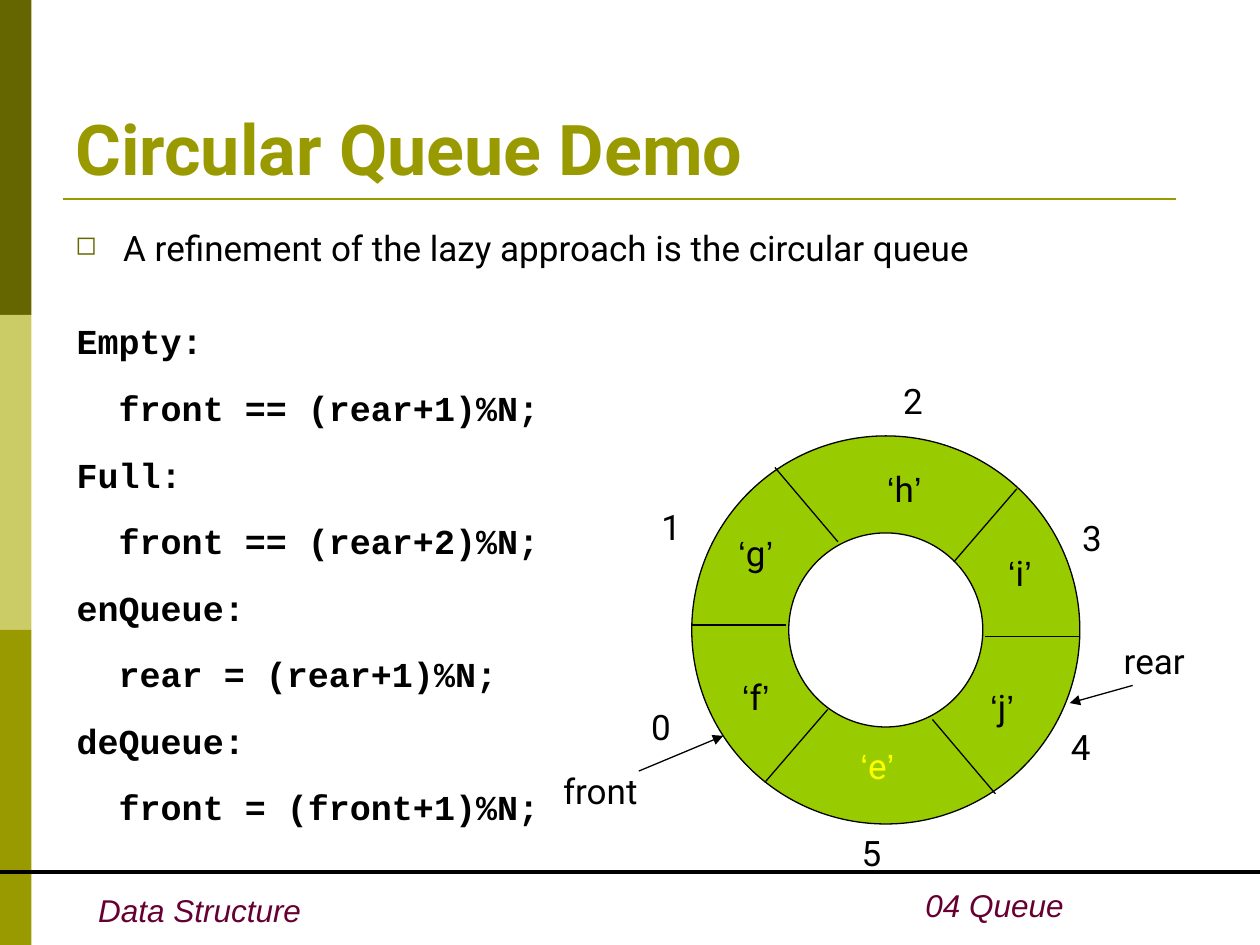
import pptx
import pptx.util
import pptx.dml.color
import pptx.enum.shapes
import pptx.enum.text
import pptx.oxml.ns
from dataclasses import dataclass
from lxml import etree

Inches = pptx.util.Inches
Pt = pptx.util.Pt
PRESET = pptx.enum.shapes.MSO_SHAPE
ALIGN = pptx.enum.text.PP_ALIGN
ANCHOR = pptx.enum.text.MSO_ANCHOR


@dataclass(frozen=True)
class Theme:
    black: str = "000000"
    olive: str = "999900"
    dark_olive: str = "666600"
    pale_olive: str = "CCCC66"
    ring: str = "99CC00"
    footer: str = "660033"
    highlight: str = "FFFF00"
    sans: str = "Roboto"
    plain: str = "Arial"
    mono: str = "Courier New"
    title_size: int = 40
    text_size: int = 20
    footer_size: int = 18
    code_gap: int = 14
    thin: float = 0.75


THEME = Theme()

CODE = [
    "Empty:",
    "  front == (rear+1)%N;",
    "Full:",
    "  front == (rear+2)%N;",
    "enQueue:",
    "  rear = (rear+1)%N;",
    "deQueue:",
    "  front = (front+1)%N;",
]
DIVIDERS = [
    (5.49, 4.96, 6.24, 4.96),
    (6.07, 6.21, 6.57, 5.63),
    (7.82, 5.05, 8.57, 5.05),
    (7.57, 4.46, 8.07, 3.88),
    (7.4, 5.71, 7.9, 6.3),
    (6.15, 3.71, 6.65, 4.3),
]
# Index of each slot: its number's place, its letter and the letter's place
SLOTS = [
    (5.07, 5.55, "f", 5.79, 5.31),
    (5.15, 3.96, "g", 5.76, 4.17),
    (7.07, 2.96, "h", 6.94, 3.66),
    (8.49, 4.05, "i", 7.9, 4.33),
    (8.4, 5.71, "j", 7.76, 5.39),
    (6.74, 6.55, "e", 6.73, 5.86),
]
POINTERS = [
    ("rear", (8.82, 5.03, 0.75, 0.44), (8.99, 5.44, 8.49, 5.58)),
    ("front", (4.37, 6.06, 1.08, 0.44), (5.07, 6.12, 5.74, 5.84)),
]


def rgb(color):
    return pptx.dml.color.RGBColor.from_string(color)


def apply_format(target, values):
    for name, value in values.items():
        setattr(target, name, value)


def add_run(paragraph, text, color=THEME.black, font=THEME.sans,
            size=THEME.text_size, bold=False, italic=False):
    run = paragraph.add_run()
    run.text = text
    apply_format(run.font, {"name": font, "size": Pt(size),
                            "bold": bold, "italic": italic})
    run.font.color.rgb = rgb(color)


def add_frame(slide, place, **frame_format):
    frame = slide.shapes.add_textbox(*map(Inches, place)).text_frame
    apply_format(frame, {"word_wrap": True, **frame_format})
    return frame


def add_label(slide, place, text, align=ALIGN.LEFT, frame_format=None, **run_format):
    paragraph = add_frame(slide, place, **(frame_format or {})).paragraphs[0]
    paragraph.alignment = align
    add_run(paragraph, text, **run_format)


def add_quoted(slide, place, letter, color):
    paragraph = add_frame(slide, place).paragraphs[0]
    for text, font in (("‘", THEME.plain), (letter, THEME.sans), ("’", THEME.plain)):
        add_run(paragraph, text, color, font)


def add_bullet(slide, place, text):
    paragraph = add_frame(slide, place).paragraphs[0]
    properties = paragraph._p.get_or_add_pPr()
    indent = Inches(0.38)
    properties.set("marL", str(indent))
    properties.set("indent", str(-indent))
    qn = pptx.oxml.ns.qn
    bullet_color = etree.SubElement(properties, qn("a:buClr"))
    etree.SubElement(bullet_color, qn("a:srgbClr"), val=THEME.dark_olive)
    etree.SubElement(properties, qn("a:buSzPct"), val="75000")
    etree.SubElement(properties, qn("a:buChar"), char="◻")
    add_run(paragraph, text)


def add_code(slide, place, lines):
    frame = add_frame(slide, place)
    for index, line in enumerate(lines):
        paragraph = frame.add_paragraph() if index else frame.paragraphs[0]
        if index:
            paragraph.space_before = Pt(THEME.code_gap)
        add_run(paragraph, line, font=THEME.mono, bold=True)


def add_block(slide, preset, place, fill, outline=None):
    block = slide.shapes.add_shape(preset, *map(Inches, place))
    block.shadow.inherit = False
    block.fill.solid()
    block.fill.fore_color.rgb = rgb(fill)
    if outline:
        block.line.color.rgb = rgb(outline)
        block.line.width = Pt(THEME.thin)
    else:
        block.line.fill.background()


def add_line(slide, ends, color=THEME.black, width=THEME.thin, arrow=False):
    line = slide.shapes.add_connector(
        pptx.enum.shapes.MSO_CONNECTOR.STRAIGHT, *map(Inches, ends))
    line.line.color.rgb = rgb(color)
    line.line.width = Pt(width)
    qn = pptx.oxml.ns.qn
    if arrow:
        etree.SubElement(line.line._get_or_add_ln(), qn("a:tailEnd"), type="triangle")
    etree.SubElement(line._element.spPr, qn("a:effectLst"))


def add_background(slide):
    # Side bands, rules and footer
    band = 2.5
    for index, color in enumerate((THEME.dark_olive, THEME.pale_olive, THEME.olive)):
        add_block(slide, PRESET.RECTANGLE, (0, index * band, 0.25, band), color)
    add_line(slide, (0.5, 1.58, 9.33, 1.58), THEME.olive, 1.5)
    footer = {"color": THEME.footer, "font": THEME.plain,
              "size": THEME.footer_size, "italic": True}
    add_label(slide, (0.68, 7.02, 1.81, 0.4), "Data Structure",
              frame_format={"word_wrap": False}, **footer)
    add_label(slide, (6.97, 6.98, 1.57, 0.4), "04 Queue", ALIGN.RIGHT, **footer)
    add_line(slide, (0, 6.92, 10, 6.92), width=2.25)


def add_circular_queue(slide):
    # Ring cut into slots
    add_block(slide, PRESET.DONUT, (5.49, 3.46, 3.08, 3.08), THEME.ring, THEME.black)
    for ends in DIVIDERS:
        add_line(slide, ends)
    # Slot numbers and stored letters
    for number, (left, top, letter, letter_left, letter_top) in enumerate(SLOTS):
        add_label(slide, (left, top, 0.5, 0.44), str(number))
        color = THEME.highlight if letter == "e" else THEME.black
        add_quoted(slide, (letter_left, letter_top, 0.5, 0.44), letter, color)
    # Front and rear pointers
    for name, place, ends in POINTERS:
        add_label(slide, place, name)
        add_line(slide, ends, arrow=True)


def main():
    deck = pptx.Presentation()
    apply_format(deck, {"slide_width": Inches(10), "slide_height": Inches(7.5)})
    slide = deck.slides.add_slide(deck.slide_layouts[6])
    add_background(slide)
    add_label(slide, (0.5, 0.3, 9, 1.25), "Circular Queue Demo",
              frame_format={"vertical_anchor": ANCHOR.BOTTOM},
              color=THEME.olive, size=THEME.title_size, bold=True)
    add_bullet(slide, (0.5, 1.75, 9, 4.95),
               "A refinement of the lazy approach is the circular queue")
    add_code(slide, (0.51, 2.49, 6.32, 3.99), CODE)
    add_circular_queue(slide)
    deck.save("out.pptx")


if __name__ == "__main__":
    main()
